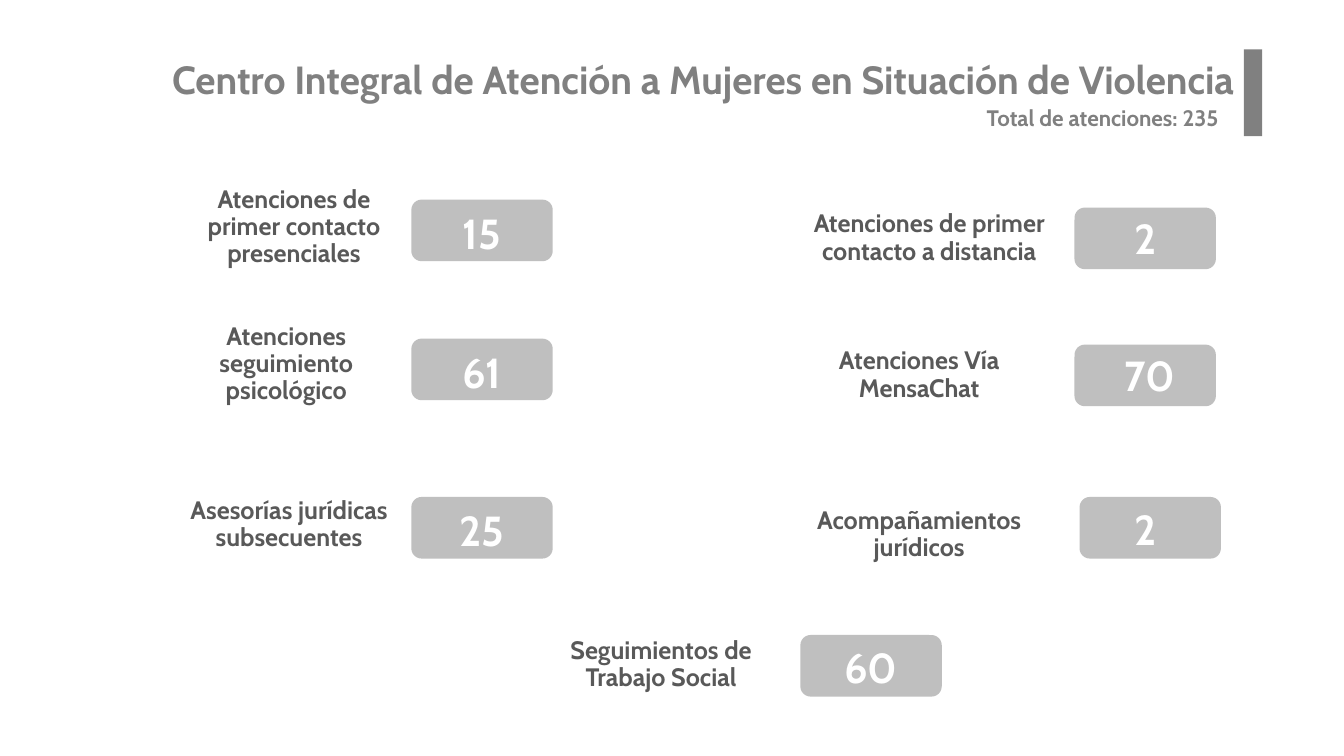
import pptx
import pptx.util
import pptx.dml.color
import pptx.enum.shapes
import pptx.enum.text

Pt = pptx.util.Pt
SHAPE = pptx.enum.shapes.MSO_SHAPE
ALIGN = pptx.enum.text.PP_ALIGN
ANCHOR = pptx.enum.text.MSO_ANCHOR
FIT = pptx.enum.text.MSO_AUTO_SIZE


def color(code):
    return pptx.dml.color.RGBColor.from_string(code)


class Deck:
    font = "Cabin"
    gray, dark, pale, white = "808080", "595959", "BFBFBF", "FFFFFF"

    def __init__(self, slide):
        self.slide = slide

    def place(self, shape, box):
        for key, value in zip(("left", "top", "width", "height"), box):
            setattr(shape, key, Pt(value))

    def letter(self, shape, text, size, code, align, pad=(7.2, 3.6),
               anchor=ANCHOR.TOP, space=1.0, fit=FIT.NONE):
        frame = shape.text_frame
        frame.text = text
        side, edge = Pt(pad[0]), Pt(pad[1])
        form = {"word_wrap": True, "auto_size": fit, "vertical_anchor": anchor,
                "margin_left": side, "margin_right": side,
                "margin_top": edge, "margin_bottom": edge}
        for key, value in form.items():
            setattr(frame, key, value)
        para = frame.paragraphs[0]
        form = {"alignment": align, "line_spacing": space, "space_before": Pt(0)}
        for key, value in form.items():
            setattr(para, key, value)
        font = para.runs[0].font
        for key, value in {"name": self.font, "size": Pt(size), "bold": True}.items():
            setattr(font, key, value)
        font.color.rgb = color(code)

    def title(self, text, box):
        shape = self.slide.shapes.title
        self.place(shape, box)
        self.letter(shape, text, 28, self.gray, ALIGN.RIGHT, pad=(14.4, 7.2))

    def text(self, text, box, size, code, align, **form):
        shape = self.slide.shapes.add_textbox(*map(Pt, box))
        self.letter(shape, text, size, code, align, **form)

    def block(self, kind, box, code):
        shape = self.slide.shapes.add_shape(kind, *map(Pt, box))
        shape.shadow.inherit = False
        shape.fill.solid()
        shape.fill.fore_color.rgb = color(code)
        shape.line.fill.background()

    def label(self, text, box):
        self.text(text, box, 18, self.dark, ALIGN.CENTER,
                  anchor=ANCHOR.MIDDLE, space=0.9)

    def count(self, value, left, top, shift):
        self.block(SHAPE.ROUNDED_RECTANGLE, (left, top, 101, 44), self.pale)
        self.text(value, (left + 13 + shift[0], top + shift[1], 75, 44), 30,
                  self.white, ALIGN.CENTER, fit=FIT.SHAPE_TO_FIT_TEXT)


def main():
    show = pptx.Presentation()
    show.slide_width, show.slide_height = Pt(960), Pt(540)
    deck = Deck(show.slides.add_slide(show.slide_layouts[5]))

    # Heading
    deck.title("Centro Integral de Atención a Mujeres en Situación de Violencia",
               (45.4, 32.4, 850.3, 62.6))
    deck.block(SHAPE.RECTANGLE, (888.5, 35.3, 13, 62), deck.gray)
    deck.text("Total de atenciones: 235", (697.7, 70.6, 205, 26.6), 16,
              deck.gray, ALIGN.LEFT, fit=FIT.SHAPE_TO_FIT_TEXT)

    # Services: label, its box, count, left and top of count, shift of digits
    wide, tall = (174, 48), (194.4, 80)
    items = [
        ("Atenciones de primer contacto presenciales", (123, 138.2, *wide),
         "15", 293.8, 142.6, (0, 2)),
        ("Atenciones seguimiento psicológico", (119.5, 236.2, 170, 48),
         "61", 293.8, 241.9, (0, 2)),
        ("Asesorías jurídicas subsecuentes", (119.5, 350.6, *wide),
         "25", 293.8, 355, (0, 2)),
        ("Atenciones de primer contacto a distancia", (566.6, 130.3, *tall),
         "2", 767.5, 148.3, (0, 0)),
        ("Atenciones Vía MensaChat", (559.4, 228.2, *tall),
         "70", 767.5, 246.2, (3.6, 0)),
        ("Acompañamientos jurídicos", (559.4, 342, *tall),
         "2", 771.1, 355, (-3.6, 1.4)),
        ("Seguimientos de Trabajo Social", (385.2, 450.7, *wide),
         "60", 571.7, 453.6, (0, 1.4)),
    ]
    for name, box, value, left, top, shift in items:
        deck.label(name, box)
        deck.count(value, left, top, shift)

    show.save("out.pptx")


if __name__ == "__main__":
    main()
